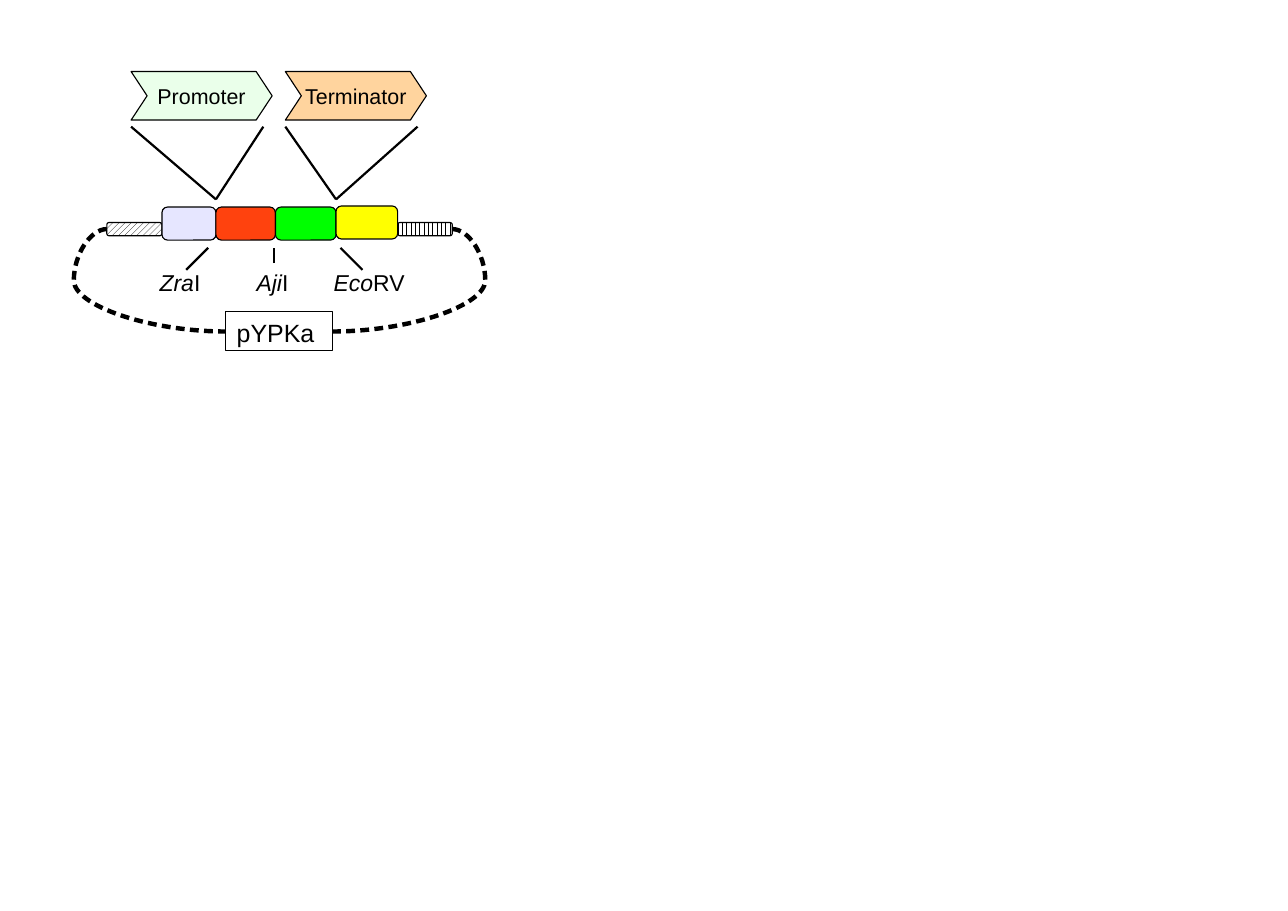
"""Draw the pYPKa plasmid map with its promoter and terminator inserts."""
from dataclasses import dataclass
from itertools import pairwise
from lxml.etree import SubElement
from pptx import Presentation
from pptx.dml.color import RGBColor
from pptx.enum.dml import MSO_PATTERN
from pptx.enum.shapes import MSO_CONNECTOR, MSO_SHAPE
from pptx.enum.text import MSO_ANCHOR, PP_ALIGN
from pptx.oxml.ns import qn
from pptx.util import Inches, Pt


@dataclass(frozen=True)
class Theme:
    font: str = "Arial"
    ink: str = "000000"
    paper: str = "FFFFFF"
    insert: float = 14
    site: float = 15
    title: float = 16.3
    thin: float = 1.45
    thick: float = 2.89
    alpha: int = 40000


THEME = Theme()
CELL = Inches(0.1)
WIDE, HIGH = 116.9, 82.7

INSERTS = [("Promoter", "CCFFCC", 11.9, 19.6), ("Terminator", "FF950E", 25.9, 30.5)]
EDGES = [9.7, 14.7, 19.6, 25, 30.5, 36.1, 41.05]
BLOCKS = [
    (MSO_PATTERN.WIDE_UPWARD_DIAGONAL, 20.2, 1.2),
    ("E6E6FF", 18.8, 3),
    ("FF420E", 18.8, 3),
    ("00FF00", 18.8, 3),
    ("FFFF00", 18.7, 3),
    (MSO_PATTERN.VERTICAL, 20.2, 1.2),
]
SITES = [
    ("Zra", "I", 13.5, 6.8, (16.9, 24.5, 18.9, 22.5)),
    ("Aji", "I", 22.3, 5.5, (24.9, 23.9, 24.9, 22.5)),
    ("Eco", "RV", 29.3, 9.2, (32.9, 24.5, 30.9, 22.5)),
]
TITLE, BOX = "pYPKa", (20.5, 28.3, 9.65, 3.5)
ROW, LONG, TALL, SPAN = 6.5, 12.8, 4.4, 12
FAN, APEX = 11.5, 18.1
LOOP, BASE, BULGE = 20.8, 30.1, 3

deck = Presentation()
deck.slide_width, deck.slide_height = round(WIDE * CELL), round(HIGH * CELL)
slide = deck.slides.add_slide(deck.slide_layouts[6])


def grid(*cells):
    return [round(cell * CELL) for cell in cells]


def color(code):
    return RGBColor.from_string(code)


def shape(kind, *place):
    item = slide.shapes.add_shape(kind, *grid(*place))
    item.shadow.inherit = False
    item.line.color.rgb = color(THEME.ink)
    item.line.width = 0
    return item


def paint(item, fill):
    if isinstance(fill, str):
        item.fill.solid()
        item.fill.fore_color.rgb = color(fill)
    else:
        item.fill.patterned()
        item.fill.pattern = fill
        item.fill.fore_color.rgb = color(THEME.ink)
        item.fill.back_color.rgb = color(THEME.paper)


def write(item, size, runs, align=PP_ALIGN.LEFT, anchor=MSO_ANCHOR.TOP, wrap=True):
    frame = item.text_frame
    frame.word_wrap, frame.vertical_anchor = wrap, anchor
    para = frame.paragraphs[0]
    para.alignment = align
    para.font.name, para.font.size = THEME.font, Pt(size)
    para.font.color.rgb = color(THEME.ink)
    for text, slant in runs:
        run = para.add_run()
        run.text = text
        if slant:
            run.font.italic = True


def link(ends, width=THEME.thin, kind=MSO_CONNECTOR.STRAIGHT):
    item = slide.shapes.add_connector(kind, *grid(*ends))
    item.line.color.rgb = color(THEME.ink)
    item.line.width = Pt(width)
    SubElement(item._element.spPr, qn("a:effectLst"))
    return item


def curve(start, end):
    item = link((start, LOOP, end, BASE), THEME.thick, MSO_CONNECTOR.CURVE)
    bend = round(-BULGE / abs(end - start) * 100000)
    props = item._element.spPr
    guides = props.find(".//" + qn("a:avLst"))
    SubElement(guides, qn("a:gd"), name="adj1", fmla=f"val {bend}")
    dash = SubElement(props.find(qn("a:ln")), qn("a:custDash"))
    SubElement(dash, qn("a:ds"), d="200000", sp="120000")


def main():
    for (left, right), (fill, top, height) in zip(pairwise(EDGES), BLOCKS):
        block = shape(MSO_SHAPE.ROUNDED_RECTANGLE, left, top, right - left, height)
        paint(block, fill)

    curve(EDGES[0], BOX[0])
    curve(EDGES[-1], BOX[0] + BOX[2])
    box = shape(MSO_SHAPE.RECTANGLE, *BOX)
    box.fill.background()
    write(box, THEME.title, [(TITLE, False)])

    for stem, tail, left, width, tick in SITES:
        label = slide.shapes.add_textbox(*grid(left, 23.9, width, 3.3))
        write(label, THEME.site, [(stem, True), (tail, False)])
        link(tick)

    for text, fill, left, site in INSERTS:
        arrow = shape(MSO_SHAPE.CHEVRON, left, ROW, LONG, TALL)
        arrow.adjustments[0] = 0.33
        paint(arrow, fill)
        tint = arrow._element.spPr.find(qn("a:solidFill"))[0]
        SubElement(tint, qn("a:alpha"), val=str(THEME.alpha))
        write(arrow, THEME.insert, [(text, False)], PP_ALIGN.CENTER, MSO_ANCHOR.MIDDLE, False)
        for edge in (left, left + SPAN):
            link((edge, FAN, site, APEX))

    deck.save("out.pptx")


if __name__ == "__main__":
    main()
